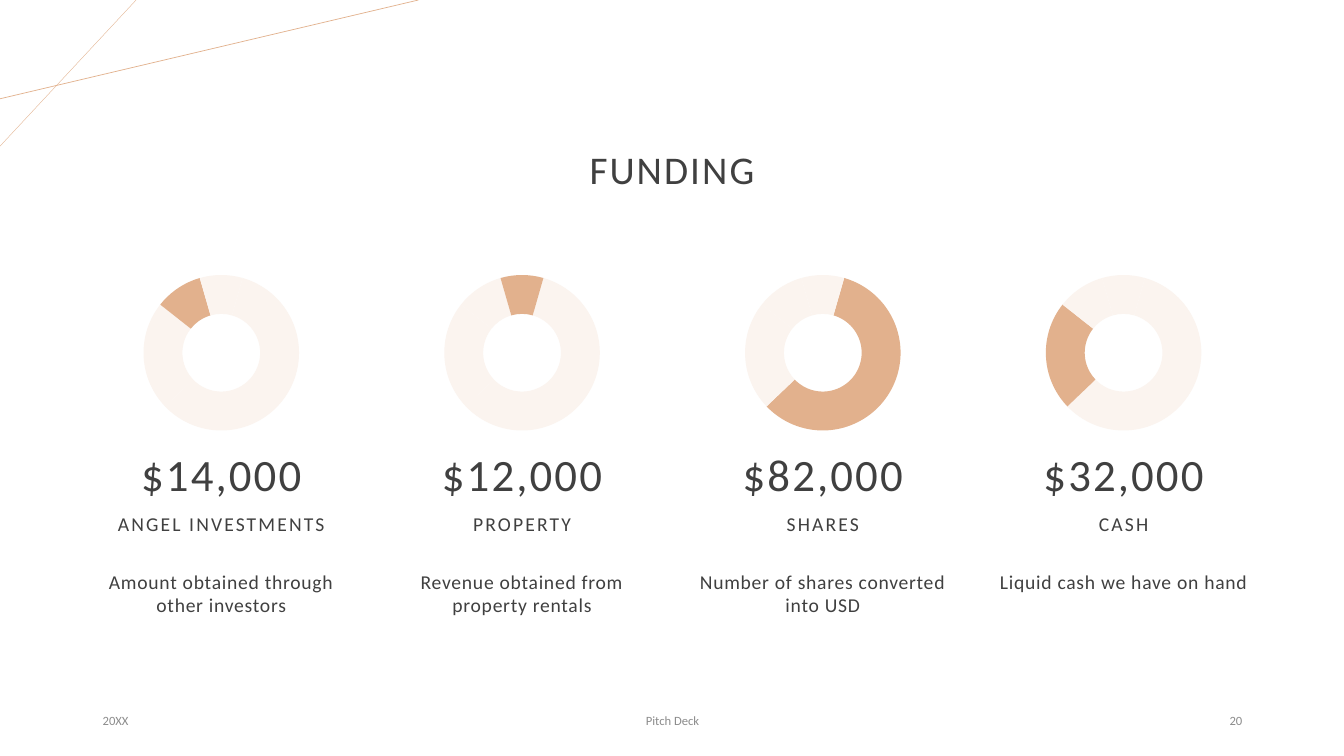
import pptx
import pptx.chart.data
import pptx.dml.color
import pptx.enum.chart
import pptx.enum.shapes
import pptx.enum.text
import pptx.oxml
import pptx.oxml.ns
import pptx.util
from pptx.util import Inches

FONT = "Calibri"
DARK, GREY, COPPER, PALE = "404040", "8C8C8C", "E2B18D", "FBF4EF"
ALIGN = pptx.enum.text.PP_ALIGN
ANCHOR = pptx.enum.text.MSO_ANCHOR
SHARES = (59, 23, 10, 9)
COLUMN_LEFT, COLUMN_STEP, COLUMN_WIDTH = 0.92, 2.983, 2.55

# Amount, label, description, index of the highlighted slice
FUNDS = [
    ("$14,000", "ANGEL INVESTMENTS", "Amount obtained through other investors", 2),
    ("$12,000", "PROPERTY", "Revenue obtained from property rentals", 3),
    ("$82,000", "SHARES", "Number of shares converted into USD", 0),
    ("$32,000", "CASH", "Liquid cash we have on hand", 1),
]


def color(hex_string):
    return pptx.dml.color.RGBColor.from_string(hex_string)


def place(box, left, top, width, height):
    box.left, box.top = Inches(left), Inches(top)
    box.width, box.height = Inches(width), Inches(height)


def write(box, text, size, ink=DARK, align=ALIGN.CENTER, anchor=ANCHOR.MIDDLE,
          tracking=0, line_spacing=1.0, before=0, side_inset=0.1):
    frame = box.text_frame
    frame.text = text
    frame.word_wrap = True
    frame.auto_size = pptx.enum.text.MSO_AUTO_SIZE.NONE
    frame.vertical_anchor = anchor
    frame.margin_left = frame.margin_right = Inches(side_inset)
    frame.margin_top = frame.margin_bottom = Inches(0.05)
    para = frame.paragraphs[0]
    para.alignment = align
    para.line_spacing = line_spacing
    para.space_before = pptx.util.Pt(before)
    # Plain paragraph: no bullet, no hanging indent
    properties = para._p.get_or_add_pPr()
    properties.set("marL", "0")
    properties.set("indent", "0")
    properties.append(pptx.oxml.parse_xml(
        f"<a:buNone {pptx.oxml.ns.nsdecls('a')}/>"))
    span = para.runs[0]
    span.font.name = FONT
    span.font.size = pptx.util.Pt(size)
    span.font.bold = False
    span.font.color.rgb = color(ink)
    span._r.get_or_add_rPr().set("spc", str(int(tracking * 100)))


def add_text(page, area, text, size, **style):
    box = page.shapes.add_textbox(0, 0, 0, 0)
    place(box, *area)
    write(box, text, size, **style)


def add_line(page, start, end, width):
    line = page.shapes.add_connector(
        pptx.enum.shapes.MSO_CONNECTOR.STRAIGHT,
        *(Inches(value) for value in start + end))
    line.line.color.rgb = color(COPPER)
    line.line.width = pptx.util.Pt(width)
    line._element.spPr.append(pptx.oxml.parse_xml(
        f"<a:effectLst {pptx.oxml.ns.nsdecls('a')}/>"))


def add_doughnut(page, left, highlight):
    data = pptx.chart.data.CategoryChartData()
    data.categories = ["1", "2", "3", "4"]
    data.add_series("Series 1", SHARES)
    chart = page.shapes.add_chart(
        pptx.enum.chart.XL_CHART_TYPE.DOUGHNUT, Inches(left), Inches(2.59),
        Inches(2.03), Inches(1.82), data).chart
    chart.has_legend = False
    chart.has_title = False
    chart.font.name = FONT
    chart.font.size = pptx.util.Pt(10)
    chart.font.color.rgb = color("000000")
    plot = chart.plots[0]
    plot.vary_by_categories = False
    for index in range(len(SHARES)):
        point = plot.series[0].points[index]
        point.format.fill.solid()
        point.format.fill.fore_color.rgb = color(COPPER if index == highlight else PALE)
        point.format.line.fill.background()
    # Hole, rotation and ring size
    ring = chart._chartSpace.find(".//" + pptx.oxml.ns.qn("c:doughnutChart"))
    ring.find(pptx.oxml.ns.qn("c:holeSize")).set("val", "80")
    ring.find(pptx.oxml.ns.qn("c:firstSliceAng")).set("val", "16")
    area = ring.getparent()
    for old in area.findall(pptx.oxml.ns.qn("c:layout")):
        area.remove(old)
    area.insert(0, pptx.oxml.parse_xml(
        f"<c:layout {pptx.oxml.ns.nsdecls('c')}><c:manualLayout>"
        '<c:layoutTarget val="inner"/><c:xMode val="edge"/><c:yMode val="edge"/>'
        '<c:x val="0.12"/><c:y val="0.075"/><c:w val="0.76"/><c:h val="0.85"/>'
        "</c:manualLayout></c:layout>"))


def add_fund(page, left, description_box, amount, label, description, highlight):
    add_doughnut(page, left + 0.26, highlight)
    heading = dict(anchor=ANCHOR.BOTTOM, tracking=1.5, line_spacing=0.9,
                   before=10, side_inset=0)
    add_text(page, (left, 4.14, COLUMN_WIDTH, 0.88), amount, 32, **heading)
    add_text(page, (left, 4.88, COLUMN_WIDTH, 0.48), label, 14, **heading)
    place(description_box, left, 5.6, COLUMN_WIDTH, 0.93)
    write(description_box, description, 14, anchor=ANCHOR.TOP, tracking=0.5,
          before=10, side_inset=0)


def main():
    deck = pptx.Presentation()
    deck.slide_width, deck.slide_height = Inches(13.33), Inches(7.5)
    # The comparison layout has a title and four text placeholders
    page = deck.slides.add_slide(deck.slide_layouts[4])

    # Corner lines
    add_line(page, (1.35, 0), (0, 1.45), 0.25)
    add_line(page, (4.15, 0), (0, 0.98), 0.5)

    # Title
    title = page.shapes.title
    place(title, 2.06, 0.98, 9.21, 1.45)
    write(title, "FUNDING", 28, tracking=1.5, line_spacing=0.9)

    # Funding columns
    descriptions = [box for box in page.placeholders
                    if box.placeholder_format.idx > 0]
    for index, (box, fund) in enumerate(zip(descriptions, FUNDS)):
        add_fund(page, COLUMN_LEFT + index * COLUMN_STEP, box, *fund)

    # Footer
    for left, width, text, align in (
            (0.92, 3, "20XX", ALIGN.LEFT),
            (4.42, 4.5, "Pitch Deck", ALIGN.CENTER),
            (9.42, 3, "20", ALIGN.RIGHT)):
        add_text(page, (left, 6.95, width, 0.4), text, 9, ink=GREY, align=align)

    deck.save("out.pptx")


main()
